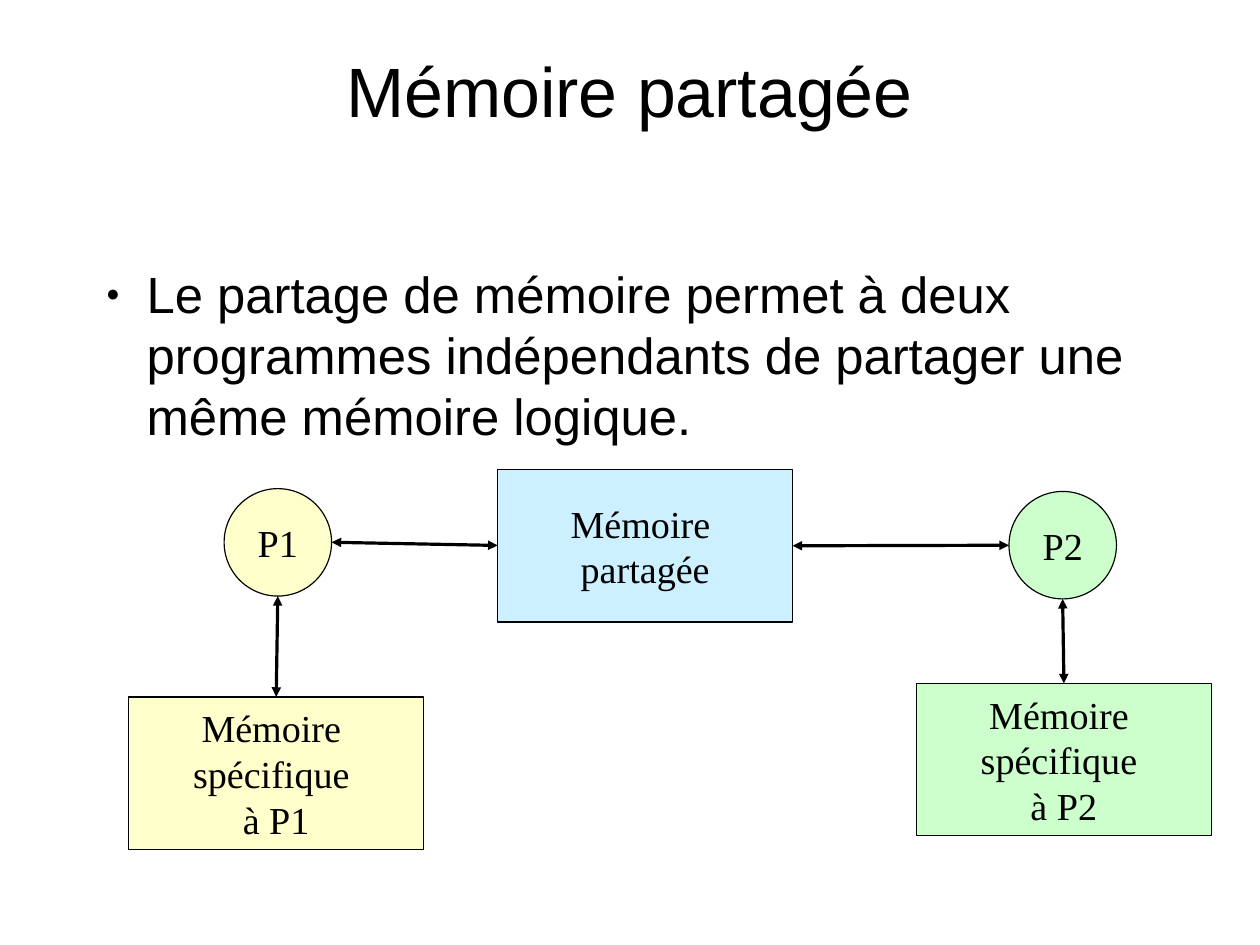
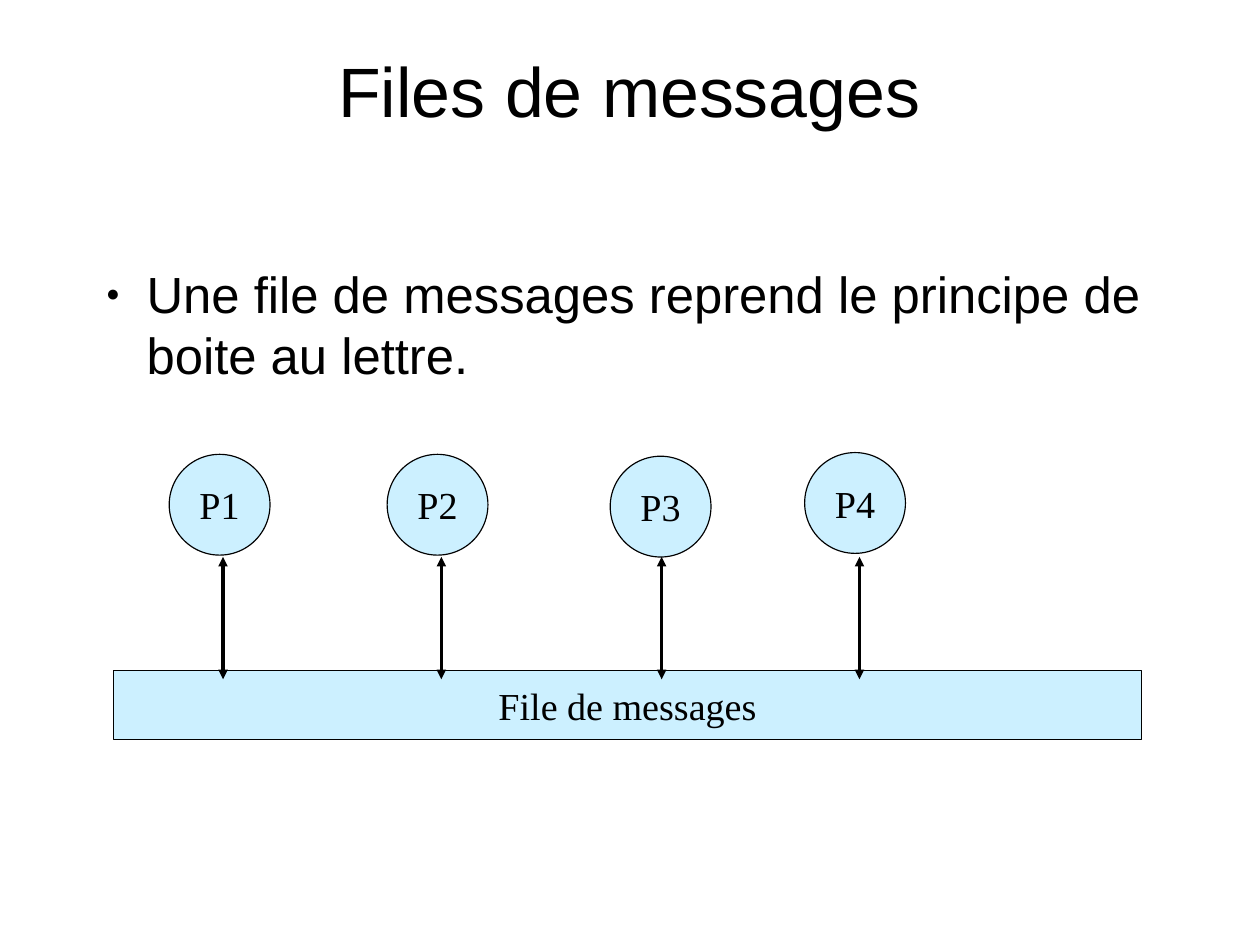
from lxml import etree
from pptx import Presentation
from pptx.dml.color import RGBColor
from pptx.enum.shapes import MSO_CONNECTOR, MSO_SHAPE
from pptx.enum.text import MSO_ANCHOR, PP_ALIGN
from pptx.oxml.ns import qn
from pptx.util import Pt

BLACK = RGBColor(0x00, 0x00, 0x00)
YELLOW = RGBColor(0xFF, 0xFF, 0x00)
GREEN = RGBColor(0x00, 0xFF, 0x00)
BLUE = RGBColor(0x00, 0xB8, 0xFF)
ELLIPSE, RECTANGLE = MSO_SHAPE.OVAL, MSO_SHAPE.RECTANGLE
STRAIGHT = MSO_CONNECTOR.STRAIGHT
CENTER, LEFT = PP_ALIGN.CENTER, PP_ALIGN.LEFT
MIDDLE, TOP = MSO_ANCHOR.MIDDLE, MSO_ANCHOR.TOP

TITLE = {"name": "Arial", "size": Pt(44)}
BODY = {"name": "Arial", "size": Pt(32)}
LABEL = {"name": "Times New Roman", "size": Pt(24)}
BULLET = {"buClr": {}, "buSzPct": {"val": "45000"},
          "buFont": {"typeface": "Arial"}, "buChar": {"char": "●"}}


def write(holder, lines, style, align=CENTER, anchor=MIDDLE, wrap=True):
    frame = holder.text_frame
    frame.margin_left = frame.margin_top = 0
    frame.margin_right = frame.margin_bottom = 0
    frame.word_wrap = wrap
    frame.vertical_anchor = anchor
    frame.text = "\n".join(lines)
    for paragraph in frame.paragraphs:
        paragraph.alignment = align
        for run in paragraph.runs:
            run.font.color.rgb = BLACK
            for attribute, value in style.items():
                setattr(run.font, attribute, value)
    return frame


prs = Presentation()
prs.slide_width, prs.slide_height = Pt(793.7), Pt(595.28)

# Content: nodes are (form, colour, left, top, width, height, lines),
# arrows are (from x, from y, to x, to y)
DISC, BOX_W, BOX_H = 67.7, 185.8, 96
shared_memory = {
    "title": "Mémoire partagée",
    "body": "Le partage de mémoire permet à deux programmes indépendants "
            "de partager une même mémoire logique.",
    "nodes": [
        (ELLIPSE, YELLOW, 141.2, 307.8, DISC, DISC, ["P1"]),
        (ELLIPSE, GREEN, 635.6, 309.6, DISC, DISC, ["P2"]),
        (RECTANGLE, BLUE, 313.5, 295.8, BOX_W, BOX_H, ["Mémoire ", "partagée"]),
        (RECTANGLE, YELLOW, 81, 439, BOX_W, BOX_H,
         ["Mémoire ", "spécifique ", "à P1"]),
        (RECTANGLE, GREEN, 577.2, 430.5, BOX_W, BOX_H,
         ["Mémoire ", "spécifique ", "à P2"]),
    ],
    "arrows": [
        (175, 375.5, 174, 439),
        (669.4, 377.3, 670.2, 430.5),
        (208.9, 341.6, 313.5, 343.6),
        (499.3, 343.8, 635.6, 343.5),
    ],
}

QUEUE_DISC = 63.5
processes = [(106.6, 286.2, 140.5), (243.9, 286.2, 278),
             (384.4, 287.4, 416.8), (506.9, 285.1, 541.4)]
message_queue = {
    "title": "Files de messages",
    "body": "Une file de messages reprend le principe de boite au lettre.",
    "nodes": [(ELLIPSE, BLUE, left, top, QUEUE_DISC, QUEUE_DISC, [f"P{number}"])
              for number, (left, top, _) in enumerate(processes, 1)]
             + [(RECTANGLE, BLUE, 71.6, 422.3, 647.4, 43.5, ["File de messages"])],
    "arrows": [(x, 350.8, x, 427.9) for _, _, x in processes],
}

for content in (shared_memory, message_queue):
    slide = prs.slides.add_slide(prs.slide_layouts[6])

    # Title and bulleted body
    title = slide.shapes.add_textbox(Pt(39.6), Pt(22.3), Pt(714.2), Pt(67.7))
    write(title, [content["title"]], TITLE)
    body = slide.shapes.add_textbox(Pt(58.3), Pt(165.6), Pt(677.5), Pt(375))
    paragraph = write(body, [content["body"]], BODY, LEFT, TOP).paragraphs[0]
    paragraph.space_after = Pt(14.1)
    properties = paragraph.alignment is not None and paragraph._p.get_or_add_pPr()
    properties.set("marL", str(Pt(34)))
    properties.set("indent", str(Pt(-25.5)))
    for tag, attributes in BULLET.items():
        mark = etree.SubElement(properties, qn(f"a:{tag}"), attributes)
        if tag == "buClr":
            etree.SubElement(mark, qn("a:srgbClr"), val=str(BLACK))

    # Processes and memories, filled at 20 % opacity
    for form, colour, left, top, width, height, lines in content["nodes"]:
        node = slide.shapes.add_shape(form, Pt(left), Pt(top), Pt(width), Pt(height))
        node.shadow.inherit = False
        node.fill.solid()
        node.fill.fore_color.rgb = colour
        tint = node.fill._xPr.find(qn("a:solidFill"))[0]
        etree.SubElement(tint, qn("a:alpha"), val="20000")
        node.line.color.rgb = BLACK
        node.line.width = Pt(0)
        write(node, lines, LABEL, wrap=False)

    # Two-way exchanges
    for ends in content["arrows"]:
        arrow = slide.shapes.add_connector(STRAIGHT, *(Pt(end) for end in ends))
        arrow.line.color.rgb = BLACK
        arrow.line.width = Pt(0)
        outline = arrow.line._get_or_add_ln()
        for tag in ("headEnd", "tailEnd"):
            etree.SubElement(outline, qn(f"a:{tag}"), type="triangle")
        etree.SubElement(arrow._element.spPr, qn("a:effectLst"))

prs.save("out.pptx")
